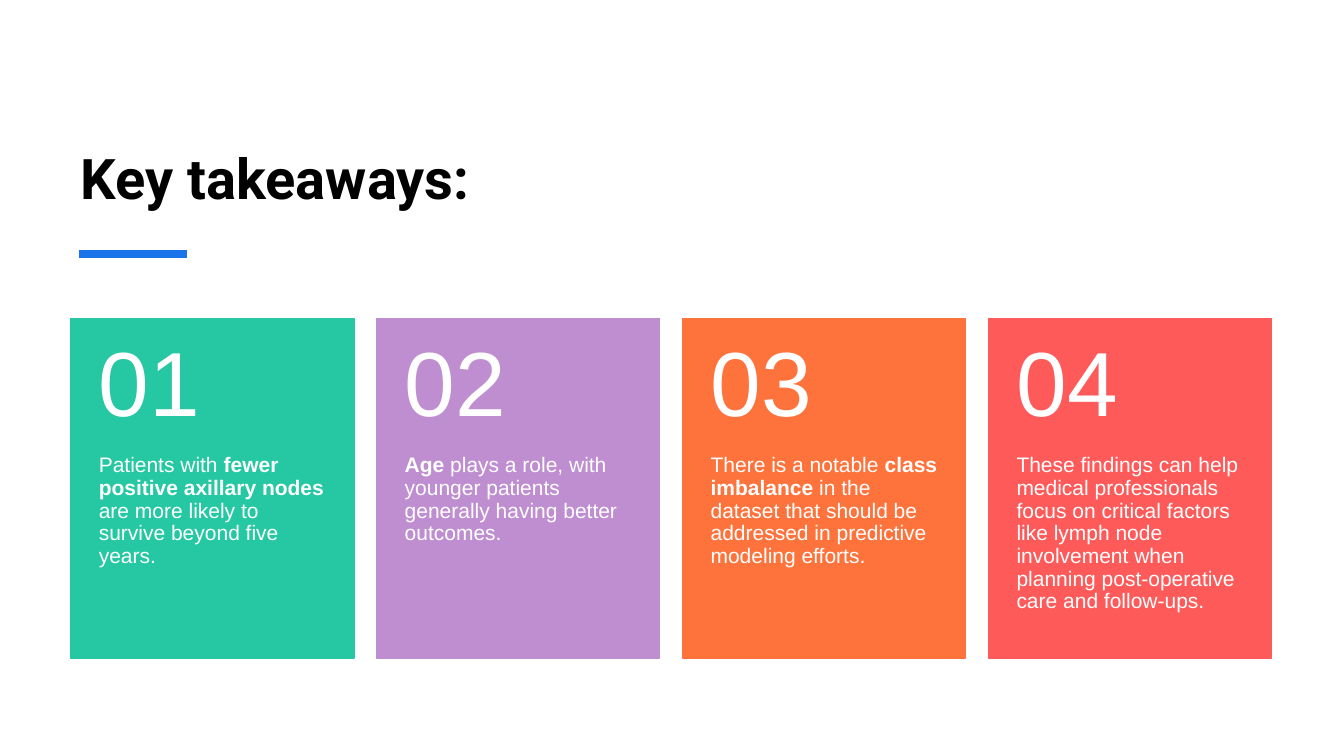
from pptx import Presentation
from pptx.dml.color import RGBColor
from pptx.enum.shapes import MSO_CONNECTOR as Connector, MSO_SHAPE as Shape
from pptx.enum.text import MSO_ANCHOR as Anchor, PP_ALIGN as Align
from pptx.oxml.ns import qn
from pptx.util import Inches, Pt
from lxml.etree import SubElement

BLACK = RGBColor(0x00, 0x00, 0x00)
WHITE = RGBColor(0xFF, 0xFF, 0xFF)
BLUE = RGBColor(0x19, 0x73, 0xEB)
GREEN = RGBColor(0x25, 0xC8, 0xA2)
PURPLE = RGBColor(0xBF, 0x8E, 0xD1)
ORANGE = RGBColor(0xFE, 0x73, 0x3C)
RED = RGBColor(0xFE, 0x5A, 0x5A)

LEFT, CARD_TOP = 0.7, 3.16
CARD_WIDTH, CARD_HEIGHT, CARD_PITCH = 2.81, 3.37, 3.034
NUMBER_HEIGHT = 1.35

# Each card: fill colour, then (text, bold) pieces
TAKEAWAYS = [
    (GREEN, [("Patients with ", False), ("fewer positive axillary nodes", True),
             (" are more likely to survive beyond five years.", False)]),
    (PURPLE, [("Age", True),
              (" plays a role, with younger patients generally having better outcomes.", False)]),
    (ORANGE, [("There is a notable ", False), ("class imbalance", True),
              (" in the dataset that should be addressed in predictive modeling efforts.", False)]),
    (RED, [("These findings can help medical professionals focus on critical factors like "
            "lymph node involvement when planning post-operative care and follow-ups.", False)]),
]


class TakeawaySlide:
    heading_font = "Roboto"
    body_font = "Arial"

    def __init__(self, presentation):
        self.slide = presentation.slides.add_slide(presentation.slide_layouts[5])

    def title(self, text):
        title = self.slide.shapes.title
        title.left, title.top = Inches(LEFT), Inches(0.62)
        title.width, title.height = Inches(11.91), Inches(1.52)
        title.text_frame.text = text
        title.text_frame.vertical_anchor = Anchor.BOTTOM
        paragraph = title.text_frame.paragraphs[0]
        paragraph.alignment = Align.LEFT
        self.style(paragraph.runs[0], self.heading_font, 40, BLACK, True)

    def style(self, run, name, size, color, bold=False):
        font = run.font
        font.name, font.size, font.bold = name, Pt(size), bold
        font.color.rgb = color

    def accent_line(self, left, right, y):
        line = self.slide.shapes.add_connector(
            Connector.STRAIGHT, Inches(left), Inches(y), Inches(right), Inches(y))
        line.line.color.rgb = BLUE
        line.line.width = Pt(6)
        SubElement(line._element.spPr, qn("a:effectLst"))

    def text(self, group, left, top, height, pieces, size, anchor, margins):
        """Add one paragraph of (text, bold) pieces; margins are top and bottom."""
        box = group.shapes.add_textbox(
            Inches(left), Inches(top), Inches(CARD_WIDTH), Inches(height))
        frame = box.text_frame
        frame.word_wrap = True
        frame.vertical_anchor = anchor
        frame.margin_left = frame.margin_right = Inches(0.28)
        frame.margin_top, frame.margin_bottom = map(Inches, margins)
        paragraph = frame.paragraphs[0]
        paragraph.line_spacing = 0.9
        for words, bold in pieces:
            run = paragraph.add_run()
            run.text = words
            self.style(run, self.body_font, size, WHITE, bold)

    def card(self, index, color, pieces):
        left = LEFT + index * CARD_PITCH
        group = self.slide.shapes.add_group_shape()
        panel = group.shapes.add_shape(
            Shape.RECTANGLE, Inches(left), Inches(CARD_TOP),
            Inches(CARD_WIDTH), Inches(CARD_HEIGHT))
        panel.shadow.inherit = False
        panel.fill.solid()
        panel.fill.fore_color.rgb = color
        panel.line.color.rgb = color
        panel.line.width = Pt(1)
        self.text(group, left, CARD_TOP + NUMBER_HEIGHT, CARD_HEIGHT - NUMBER_HEIGHT,
                  pieces, 15, Anchor.TOP, (0, 0.36))
        self.text(group, left, CARD_TOP, NUMBER_HEIGHT,
                  [(f"{index + 1:02}", False)], 65, Anchor.MIDDLE, (0.18, 0.18))


def main():
    presentation = Presentation()
    presentation.slide_width = Inches(13.33)
    presentation.slide_height = Inches(7.5)
    takeaways = TakeawaySlide(presentation)
    takeaways.title("Key takeaways:")
    takeaways.accent_line(0.78, 1.85, 2.52)
    for index, (color, pieces) in enumerate(TAKEAWAYS):
        takeaways.card(index, color, pieces)
    presentation.save("out.pptx")


if __name__ == "__main__":
    main()
